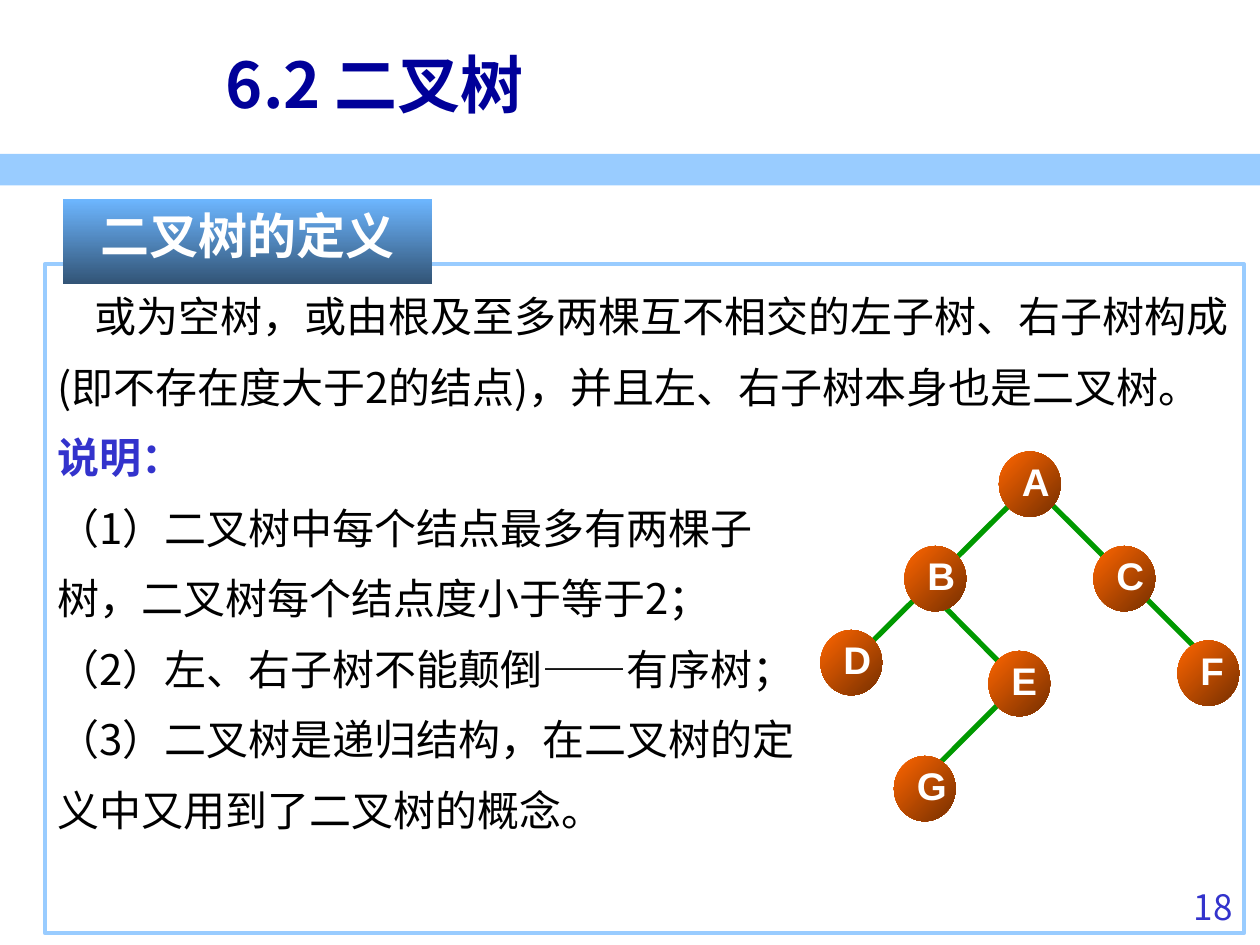
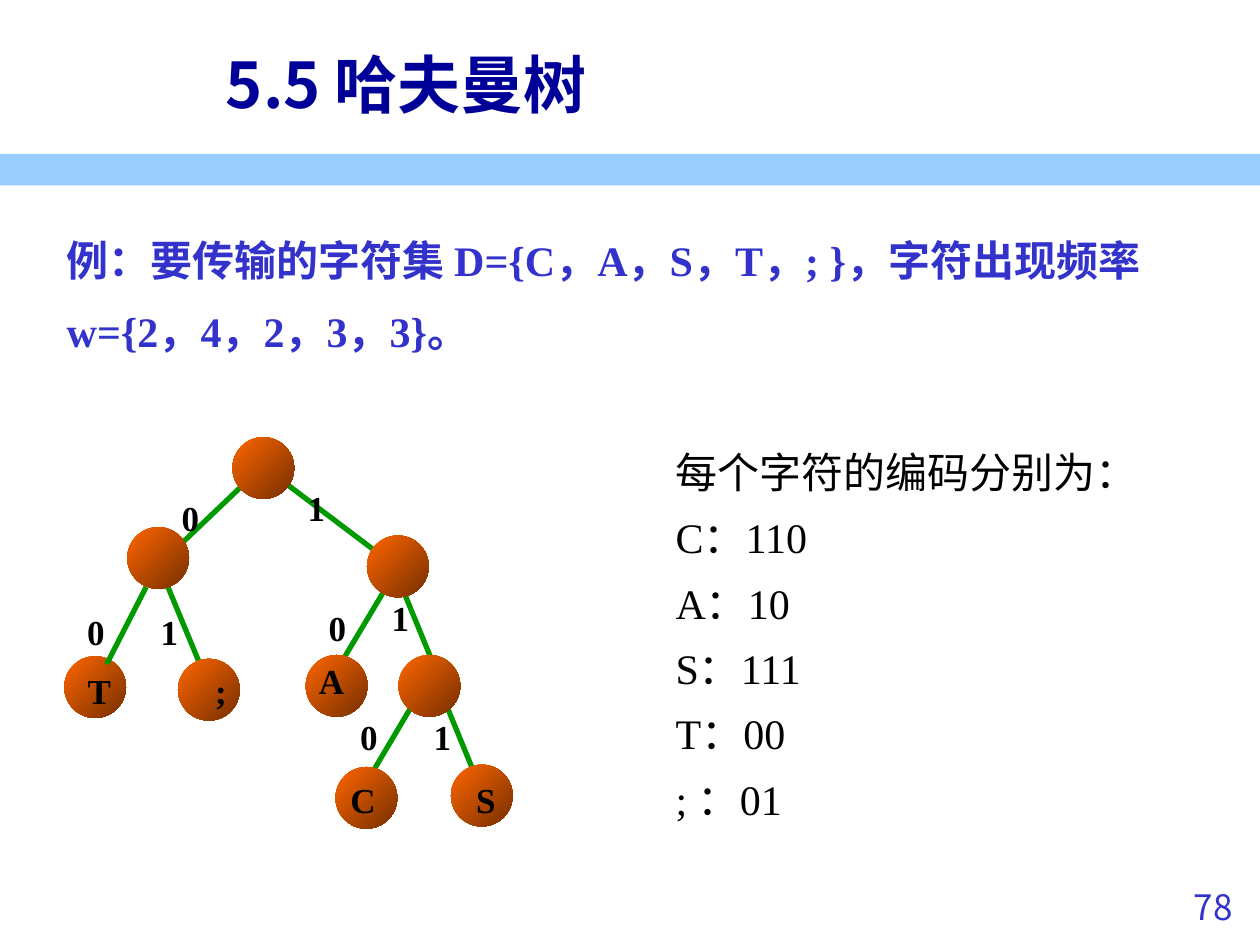
from lxml import etree
from pptx import Presentation
from pptx.dml.color import RGBColor
from pptx.enum.shapes import MSO_CONNECTOR, MSO_SHAPE
from pptx.enum.text import MSO_ANCHOR, PP_ALIGN
from pptx.oxml.ns import qn
from pptx.util import Pt

RECTANGLE, OVAL = MSO_SHAPE.RECTANGLE, MSO_SHAPE.OVAL
STRAIGHT = MSO_CONNECTOR.STRAIGHT
TOP, MIDDLE = MSO_ANCHOR.TOP, MSO_ANCHOR.MIDDLE
LEFT, CENTER, RIGHT = PP_ALIGN.LEFT, PP_ALIGN.CENTER, PP_ALIGN.RIGHT

HAN, SANS, SERIF = "Noto Sans CJK SC", "Arial", "Times New Roman"
SKY, NAVY, BLUE = "99CCFF", "000099", "3333CC"
GREEN, BLACK, WHITE = "009900", "000000", "FFFFFF"
ORANGE_BLEND = ("FF6600", "762F00")
SKY_BLEND = ("6DB6FF", "325476")
NODE_WIDTH = 35.3


def rgb(color):
    return RGBColor.from_string(color)


def write(frame, text, size=24, color=BLACK, font=HAN, bold=False, align=LEFT,
          spacing=1.0, indent=0):
    """Append one formatted paragraph, using the empty first one if there is one."""
    para = frame.paragraphs[0] if not frame.text else frame.add_paragraph()
    para.alignment = align
    para.line_spacing = spacing
    properties = para._p.get_or_add_pPr()
    properties.set("hangingPunct", "0")
    if indent:
        properties.set("indent", str(Pt(indent)))
    span = para.add_run()
    span.text = text
    span.font.size = Pt(size)
    span.font.bold = bold
    span.font.color.rgb = rgb(color)
    span.font.name = font
    east_asian = etree.SubElement(span._r.get_or_add_rPr(), qn("a:ea"))
    east_asian.set("typeface", HAN)


class Lecture:
    """Holds the deck, its style and the page being built."""

    def __init__(self):
        self.deck = Presentation()
        self.deck.slide_width, self.deck.slide_height = Pt(720), Pt(540)
        self.page = None

    def add_page(self, title, number):
        self.page = self.deck.slides.add_slide(self.deck.slide_layouts[6])
        self.shape(RECTANGLE, 0, 88, 720, 18, fill=SKY)
        write(self.text_box(643, 502.5, 68.5, 37.5), number, size=20,
              color=BLUE, align=RIGHT)
        write(self.text_box(122, 14.75, 590, 66, anchor=MIDDLE), title, size=36,
              color=NAVY, bold=True)

    def shape(self, kind, left, top, width, height, fill=None, blend=None,
              angle=0, outline=None):
        shape = self.page.shapes.add_shape(kind, Pt(left), Pt(top), Pt(width), Pt(height))
        shape.shadow.inherit = False
        if blend:
            shape.fill.gradient()
            shape.fill.gradient_angle = 360 - angle
            for stop, color in zip(shape.fill.gradient_stops, blend):
                stop.color.rgb = rgb(color)
        elif fill:
            shape.fill.solid()
            shape.fill.fore_color.rgb = rgb(fill)
        else:
            shape.fill.background()
        if outline:
            shape.line.color.rgb = rgb(outline)
            shape.line.width = Pt(2.25)
        else:
            shape.line.fill.background()
        frame = shape.text_frame
        frame.word_wrap = True
        frame.vertical_anchor = TOP
        return frame

    def text_box(self, left, top, width, height, anchor=TOP, wrap=True):
        box = self.page.shapes.add_textbox(Pt(left), Pt(top), Pt(width), Pt(height))
        box.text_frame.word_wrap = wrap
        box.text_frame.vertical_anchor = anchor
        return box.text_frame

    def node(self, left, top, height=NODE_WIDTH):
        self.shape(OVAL, left, top, NODE_WIDTH, height, blend=ORANGE_BLEND, angle=45)

    def edge(self, x1, y1, x2, y2):
        line = self.page.shapes.add_connector(STRAIGHT, Pt(x1), Pt(y1), Pt(x2), Pt(y2))
        line.line.color.rgb = rgb(GREEN)
        line.line.width = Pt(3)
        etree.SubElement(line._element.spPr, qn("a:effectLst"))

    def label(self, text, left, top, width, height):
        frame = self.text_box(left, top, width, height, anchor=MIDDLE, wrap=False)
        write(frame, text, size=20, font=SERIF, bold=True, align=CENTER)


def definition_page(lecture):
    lecture.add_page("6.2 二叉树", "18")

    # Definition and remarks
    body = lecture.shape(RECTANGLE, 25.6, 151, 685.4, 382.3, outline=SKY)
    write(body, "或为空树，或由根及至多两棵互不相交的左子树、右子树构成"
          "(即不存在度大于2的结点)，并且左、右子树本身也是二叉树。",
          spacing=1.4, indent=21.5)
    write(body, "说明：", color=BLUE, bold=True, spacing=1.4)
    for remark in ("（1）二叉树中每个结点最多有两棵子",
                   "树，二叉树每个结点度小于等于2；",
                   "（2）左、右子树不能颠倒——有序树；",
                   "（3）二叉树是递归结构，在二叉树的定",
                   "义中又用到了二叉树的概念。"):
        write(body, remark, spacing=1.4)

    # Example tree: edges below, lettered nodes above
    for ends in ((535, 342, 582.5, 390), (583, 390, 523, 450),
                 (594.7, 282, 697, 384), (577.5, 288, 492.5, 372.5)):
        lecture.edge(*ends)
    for letter, left, top, width in (
            ("B", 516.8, 312, 30), ("A", 570.8, 258, 30), ("D", 468.8, 360, 30),
            ("C", 624.8, 312, 30), ("F", 672.8, 366, 27.5),
            ("E", 564.8, 372, 29), ("G", 510.8, 432, 31.5)):
        lecture.node(left, top, height=37.3)
        write(lecture.text_box(left + 6.1, top, width, 34, wrap=False), letter,
              size=22, color=WHITE, font=SANS, bold=True)

    # Heading tab over the frame
    heading = lecture.shape(RECTANGLE, 36, 113.75, 211, 48.5, blend=SKY_BLEND, angle=90)
    write(heading, "二叉树的定义", size=28, color=WHITE, bold=True, align=CENTER)


def huffman_page(lecture):
    lecture.add_page("5.5 哈夫曼树", "78")

    # Problem and resulting codes
    write(lecture.text_box(31, 119, 658, 88),
          "例：要传输的字符集 D={C，A，S，T，; }，字符出现频率  w={2，4，2，3，3}。",
          color=BLUE, font=SERIF, bold=True, spacing=1.4)
    codes = lecture.text_box(379, 242.75, 282, 232)
    for line in ("每个字符的编码分别为：", "C：110", "A：10", "S：111",
                 "T：00", "; ：01"):
        write(codes, line, font=SERIF, spacing=1.3)

    # Code tree: leaf T lies below its edge, all other nodes above
    lecture.node(36.7, 375)
    for ends in ((229, 334, 252, 390), (222, 333.5, 191.5, 384.5),
                 (157, 271.5, 227.5, 324.7), (97, 317, 139, 277),
                 (252, 395.5, 275, 451.5), (240, 395.5, 209.5, 447),
                 (96, 335.5, 119, 391), (83.5, 335.5, 61, 379.5)):
        lecture.edge(*ends)
    for left, top in ((209.7, 306), (174.7, 374.3), (72.7, 301.2), (132.8, 249.8),
                      (257.7, 437), (191.7, 438.3), (227.7, 374.3), (101.7, 376.5)):
        lecture.node(left, top)

    # Leaf letters
    for letter, left, top, width in (
            ("T", 43, 378.7, 27.4), (";", 115.7, 378.7, 21), ("C", 193, 441, 28.8),
            ("S", 265, 441, 25.2), ("A", 175, 373, 28.8)):
        lecture.label(letter, left, top, width, 32)

    # Edge bits
    for bit, left, top in (
            ("1", 168.7, 278.7), ("0", 180.7, 347), ("0", 198.7, 409.3),
            ("1", 240.7, 409.3), ("0", 42.7, 349.3), ("1", 84.7, 349.3),
            ("0", 96.7, 284.2), ("1", 216.7, 341.3)):
        lecture.label(bit, left, top, 24, 23)


def main():
    lecture = Lecture()
    definition_page(lecture)
    huffman_page(lecture)
    lecture.deck.save("out.pptx")


if __name__ == "__main__":
    main()
